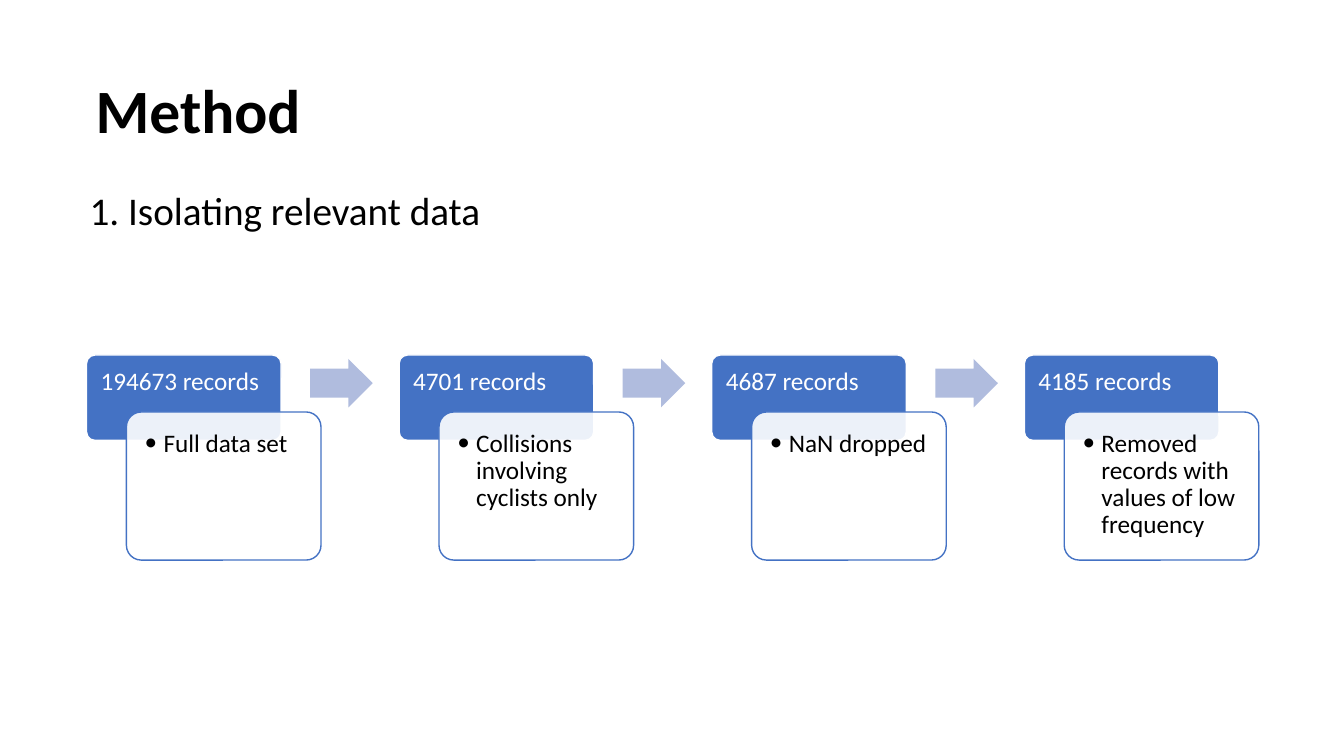
import pptx
import pptx.util
import pptx.dml.color
import pptx.enum.shapes
import pptx.enum.text
import pptx.oxml.ns
import lxml.etree
from dataclasses import dataclass

Pt = pptx.util.Pt
SHAPES = pptx.enum.shapes.MSO_SHAPE
ANCHOR = pptx.enum.text.MSO_ANCHOR
qn = pptx.oxml.ns.qn


@dataclass(frozen=True)
class Theme:
    font: str = "Calibri"
    black: str = "000000"
    white: str = "FFFFFF"
    blue: str = "4472C4"
    arrow: str = "B0BCDE"
    title_size: int = 44
    subtitle_size: int = 28
    step_size: int = 18


theme = Theme()


def add_block(preset, left, top, width, height, fill, line=None):
    shape = slide.shapes.add_shape(preset, Pt(left), Pt(top), Pt(width), Pt(height))
    shape.shadow.inherit = False
    shape.fill.solid()
    shape.fill.fore_color.rgb = pptx.dml.color.RGBColor.from_string(fill)
    if line:
        shape.line.color.rgb = pptx.dml.color.RGBColor.from_string(line)
        shape.line.width = Pt(1)
    else:
        shape.line.fill.background()
    return shape


def write_text(shape, text, size, color, inset, anchor=ANCHOR.TOP, bold=False):
    frame = shape.text_frame
    frame.word_wrap = True
    frame.vertical_anchor = anchor
    frame.margin_left = frame.margin_right = Pt(inset[0])
    frame.margin_top = frame.margin_bottom = Pt(inset[1])
    paragraph = frame.paragraphs[0]
    paragraph.text = text
    paragraph.alignment = pptx.enum.text.PP_ALIGN.LEFT
    paragraph.line_spacing = 0.9
    paragraph.font.name = theme.font
    paragraph.font.size = Pt(size)
    paragraph.font.bold = bold
    paragraph.font.color.rgb = pptx.dml.color.RGBColor.from_string(color)
    return paragraph


presentation = pptx.Presentation()
presentation.slide_width = Pt(960)
presentation.slide_height = Pt(540)
slide = presentation.slides.add_slide(presentation.slide_layouts[6])

title = slide.shapes.add_textbox(Pt(61.2), Pt(28.8), Pt(828), Pt(104.4))
write_text(title, "Method", theme.title_size, theme.black, (7.2, 3.6), ANCHOR.MIDDLE, True)

subtitle = slide.shapes.add_textbox(Pt(56.9), Pt(133.2), Pt(800.6), Pt(78.5))
paragraph = write_text(subtitle, "1. Isolating relevant data", theme.subtitle_size, theme.black, (7.2, 3.6))
paragraph.space_before = Pt(10)

steps = [
    ("194673 records", "Full data set"),
    ("4701 records", "Collisions involving cyclists only"),
    ("4687 records", "NaN dropped"),
    ("4185 records", "Removed records with values of low frequency"),
]
step_left, step_top, step_pitch, step_width = 61.8, 253.6, 223.3, 139

for index, (count, detail) in enumerate(steps):
    left = step_left + index * step_pitch

    header = add_block(SHAPES.ROUNDED_RECTANGLE, left, step_top, step_width, 61, theme.blue, theme.white)
    header.adjustments[0] = 0.1
    write_text(header, count, theme.step_size, theme.white, (8.3, 8.3))

    card = add_block(SHAPES.ROUNDED_RECTANGLE, left + 28.5, step_top + 40.7, step_width, 105.8, theme.white, theme.blue)
    card.adjustments[0] = 0.1
    fill_color = card.fill._xPr.find(qn("a:solidFill"))[0]
    lxml.etree.SubElement(fill_color, qn("a:alpha"), val="90000")
    paragraph = write_text(card, detail, theme.step_size, theme.black, (10, 10))
    properties = paragraph._p.get_or_add_pPr()
    properties.set("marL", str(Pt(13.5)))
    properties.set("indent", str(-Pt(13.5)))
    bullet_font = lxml.etree.SubElement(properties, qn("a:buFont"), typeface=theme.font)
    bullet = lxml.etree.SubElement(properties, qn("a:buChar"), char="•")
    properties.find(qn("a:defRPr")).addprevious(bullet_font)
    bullet_font.addnext(bullet)

    if index < len(steps) - 1:
        arrow = add_block(SHAPES.RIGHT_ARROW, left + 159.7, step_top + 2.8, 44.7, 34.6, theme.arrow)
        arrow.adjustments[0] = 0.6
        arrow.adjustments[1] = 0.5

presentation.save("out.pptx")
